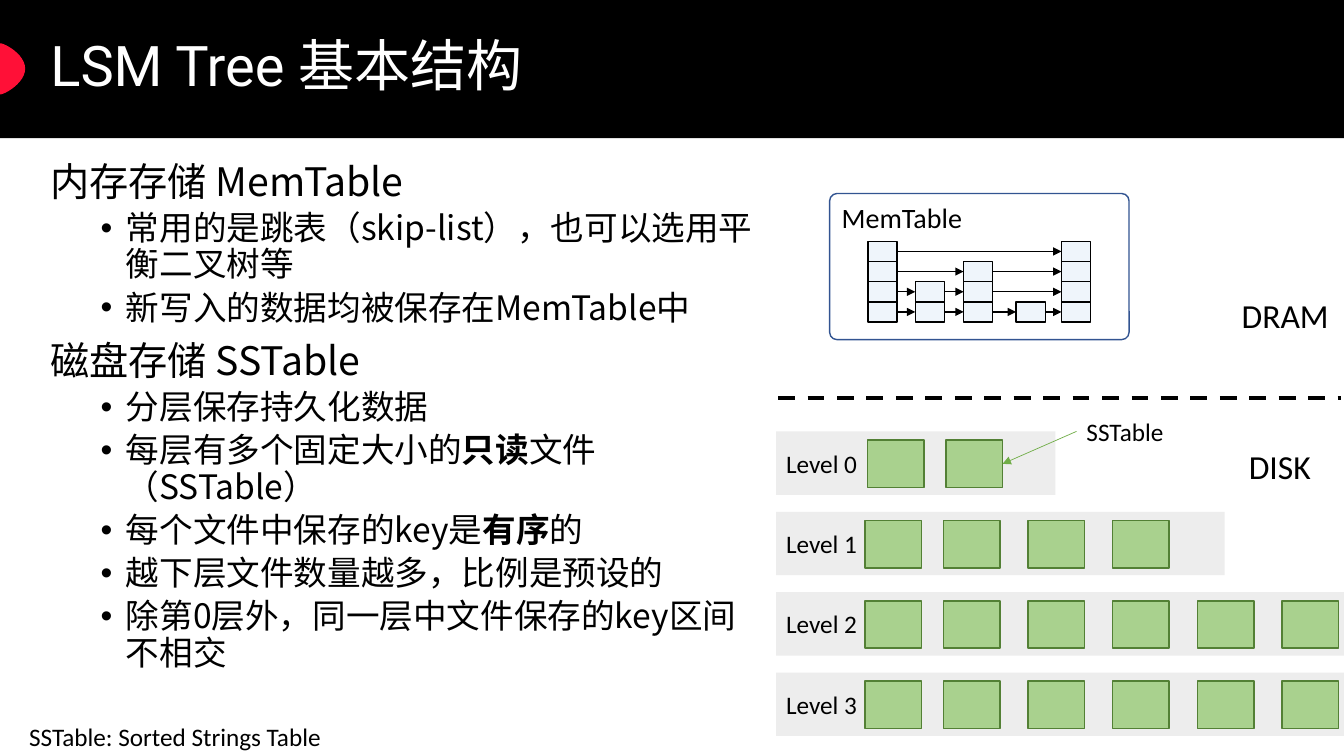
from dataclasses import dataclass
from typing import Optional

from lxml import etree
from pptx import Presentation
from pptx.dml.color import RGBColor
from pptx.enum.dml import MSO_LINE
from pptx.enum.shapes import MSO_CONNECTOR, MSO_SHAPE
from pptx.enum.text import MSO_ANCHOR, MSO_AUTO_SIZE, PP_ALIGN
from pptx.oxml.ns import qn
from pptx.util import Inches, Pt

RECT, ROUNDED = MSO_SHAPE.RECTANGLE, MSO_SHAPE.ROUNDED_RECTANGLE
STRAIGHT = MSO_CONNECTOR.STRAIGHT
DASH = MSO_LINE.DASH
TOP, MIDDLE = MSO_ANCHOR.TOP, MSO_ANCHOR.MIDDLE
LEFT = PP_ALIGN.LEFT
FIT, FIXED = MSO_AUTO_SIZE.SHAPE_TO_FIT_TEXT, MSO_AUTO_SIZE.NONE
LEFT_SIDE, RIGHT_SIDE = 1, 3
WIDTH, HEIGHT = Inches(13.333), Inches(7.5)


@dataclass(frozen=True)
class Theme:
    ink: str = "000000"
    paper: str = "FFFFFF"
    accent: str = "FF1037"
    level: str = "EDEDED"
    table: str = "A9D18E"
    table_edge: str = "538035"
    pointer: str = "70AD47"
    memory_edge: str = "325491"
    node: str = "DEEBF7"
    heading_font: str = "Roboto"
    body_font: str = "Noto Sans CJK SC"
    label_font: str = "Calibri"
    heading: int = 40
    topic: int = 28
    point: int = 24
    memory: int = 20
    label: int = 18


THEME = Theme()


@dataclass(frozen=True)
class Box:
    """Percentages of the slide's width and height."""
    left: float
    top: float
    width: float
    height: float

    def emu(self) -> tuple[int, int, int, int]:
        return across(self.left), down(self.top), across(self.width), down(self.height)


@dataclass(frozen=True)
class Level:
    width: float
    tables: int
    shift: float = 0


@dataclass(frozen=True)
class Tower:
    left: float
    height: int


@dataclass(frozen=True)
class Label:
    text: str
    box: Box
    size: int


TOPICS = {
    "内存存储 MemTable": [
        "常用的是跳表（skip-list），也可以选用平衡二叉树等",
        "新写入的数据均被保存在MemTable中",
    ],
    "磁盘存储 SSTable": [
        "分层保存持久化数据",
        "每层有多个固定大小的**只读**文件（SSTable）",
        "每个文件中保存的key是**有序**的",
        "越下层文件数量越多，比例是预设的",
        "除第0层外，同一层中文件保存的key区间不相交",
    ],
}
LEVELS = [Level(20.78, 2, 0.2), Level(33.38, 4), Level(51.08, 6), Level(68.4, 6)]
TOWERS = [Tower(64.58, 4), Tower(68.1, 2), Tower(71.7, 3), Tower(75.6, 1), Tower(78.98, 4)]
LABELS = [
    Label("DRAM", Box(91.65, 38.4, 8.03, 6.67), THEME.point),
    Label("DISK", Box(92.18, 58.27, 6.15, 6.67), THEME.point),
    Label("SSTable: Sorted Strings Table", Box(1.43, 94.8, 23.48, 5.33), THEME.label),
]
TABLE_NAME = Label("SSTable", Box(80.1, 54.4, 7.28, 5.33), THEME.label)
# Each arc: two control points and an end point
DROP_START = (-0.22, 9.1)
DROP_ARCS = [
    ((-0.22, 7.2), (-0.38, 5.73), (0, 5.73)),
    ((0.38, 5.73), (1.88, 7.2), (1.88, 9.1)),
    ((1.88, 10.93), (0.38, 12.5), (0, 12.5)),
    ((-0.38, 12.5), (-0.22, 10.93), DROP_START),
]


def across(share: float) -> int:
    return round(WIDTH * share / 100)


def down(share: float) -> int:
    return round(HEIGHT * share / 100)


def write(paragraph, text: str, *, size: int, face: str = THEME.label_font,
          color: str = THEME.ink, before: float = 0, spacing: float = 1,
          bullet: bool = False) -> None:
    """Write text; parts between double asterisks are bold."""
    paragraph.alignment = LEFT
    paragraph.line_spacing, paragraph.space_before = spacing, Pt(before)
    if bullet:
        paragraph.level = 1
        properties = paragraph._p.get_or_add_pPr()
        properties.set("marL", str(Inches(0.75)))
        properties.set("indent", str(Inches(-0.25)))
        etree.SubElement(properties, qn("a:buFont"), typeface="Arial")
        etree.SubElement(properties, qn("a:buChar"), char="•")
    for index, part in enumerate(text.split("**")):
        run = paragraph.add_run()
        run.text = part
        run.font.size, run.font.name, run.font.bold = Pt(size), face, index % 2 == 1
        run.font.color.rgb = RGBColor.from_string(color)
        etree.SubElement(run._r.get_or_add_rPr(), qn("a:ea"), typeface=THEME.body_font)


def paint(shape, fill: Optional[str], edge: Optional[str] = None,
          opacity: Optional[int] = None) -> None:
    shape.shadow.inherit = False
    if fill:
        shape.fill.solid()
        shape.fill.fore_color.rgb = RGBColor.from_string(fill)
    else:
        shape.fill.background()
    if opacity is not None:
        tint = shape.element.spPr.find(".//" + qn("a:srgbClr"))
        etree.SubElement(tint, qn("a:alpha"), val=str(opacity * 1000))
    if edge:
        shape.line.color.rgb = RGBColor.from_string(edge)
        shape.line.width = Pt(1)
    else:
        shape.line.fill.background()


def block(slide, box: Box, fill: Optional[str], edge: Optional[str] = None,
          opacity: Optional[int] = None, kind=RECT):
    shape = slide.shapes.add_shape(kind, *box.emu())
    paint(shape, fill, edge, opacity)
    return shape


def label(slide, item: Label):
    shape = slide.shapes.add_textbox(*item.box.emu())
    shape.text_frame.word_wrap = False
    shape.text_frame.auto_size = FIT
    write(shape.text_frame.paragraphs[0], item.text, size=item.size)
    return shape


def rule(slide, color: str, weight: float, ends=(0, 0, 0, 0), dash=None):
    line = slide.shapes.add_connector(STRAIGHT, *ends)
    line.line.color.rgb = RGBColor.from_string(color)
    line.line.width = Pt(weight)
    if dash is not None:
        line.line.dash_style = dash
    etree.SubElement(line.element.spPr, qn("a:effectLst"))
    return line


def arrow(slide, source, source_side: int, target, target_side: int,
          color: str = THEME.ink, weight: float = 1) -> None:
    line = rule(slide, color, weight)
    line.begin_connect(source, source_side)
    line.end_connect(target, target_side)
    etree.SubElement(line.line._get_or_add_ln(), qn("a:tailEnd"), type="triangle")


def draw_header(slide) -> None:
    title = slide.shapes.title
    band = block(slide, Box(0, 0, 100, 18.27), THEME.ink)
    outline, start = [], DROP_START
    for first, second, end in DROP_ARCS:
        for t in (step / 12 for step in range(1, 13)):
            x, y = ((1 - t) ** 3 * a + 3 * (1 - t) ** 2 * t * b + 3 * (1 - t) * t * t * c
                    + t ** 3 * d for a, b, c, d in zip(start, first, second, end))
            outline.append((across(x), down(y)))
        start = end
    builder = slide.shapes.build_freeform(across(DROP_START[0]), down(DROP_START[1]))
    builder.add_line_segments(outline, close=True)
    drop = builder.convert_to_shape()
    paint(drop, THEME.accent)
    for backdrop in (band, drop):  # keep the title in front
        title.element.addprevious(backdrop.element)
    title.left, title.top, title.width, title.height = Box(3, 1.2, 94.5, 15.73).emu()
    title.text_frame.vertical_anchor = MIDDLE
    title.text_frame.auto_size = FIXED
    write(title.text_frame.paragraphs[0], "LSM Tree 基本结构", size=THEME.heading,
          face=THEME.heading_font, color=THEME.paper, spacing=0.9)


def draw_topics(slide) -> None:
    frame = slide.shapes.add_textbox(*Box(3, 20.8, 54.23, 79.2).emu()).text_frame
    frame.word_wrap = True
    lines = [(text, text in TOPICS) for topic in TOPICS for text in (topic, *TOPICS[topic])]
    for index, (text, is_topic) in enumerate(lines):
        paragraph = frame.add_paragraph() if index else frame.paragraphs[0]
        write(paragraph, text, size=THEME.topic if is_topic else THEME.point,
              face=THEME.body_font, before=10 if is_topic else 5, spacing=0.9,
              bullet=not is_topic)


def draw_memory(slide) -> None:
    memory = block(slide, Box(61.73, 25.6, 22.28, 19.33), None, THEME.memory_edge, kind=ROUNDED)
    memory.adjustments[0] = 0.05
    memory.text_frame.vertical_anchor = TOP
    write(memory.text_frame.paragraphs[0], "MemTable", size=THEME.memory)
    # Skip list: each lane links the towers that reach it
    floor, node_width, node_height = 42.6, 2.17, 2.67
    for lane in range(max(tower.height for tower in TOWERS)):
        nodes = [block(slide, Box(tower.left, floor - (lane + 1) * node_height,
                                  node_width, node_height), THEME.node, THEME.ink, 46)
                 for tower in TOWERS if tower.height > lane]
        for source, target in zip(nodes, nodes[1:]):
            arrow(slide, source, RIGHT_SIDE, target, LEFT_SIDE)


def draw_disk(slide) -> None:
    rows = []
    for row, level in enumerate(LEVELS):
        top = 57.07 + 10.63 * row
        bar = block(slide, Box(57.75, top, level.width, 8.4), THEME.level)
        bar.text_frame.vertical_anchor = MIDDLE
        write(bar.text_frame.paragraphs[0], f"Level {row}", size=THEME.label)
        columns = [64.35] + [70.2 + 6.3 * step for step in range(level.tables - 1)]
        rows.append([block(slide, Box(left + level.shift, top + 1.15, 4.2, 6.27),
                           THEME.table, THEME.table_edge) for left in columns])
    name = label(slide, TABLE_NAME)
    arrow(slide, name, LEFT_SIDE, rows[0][-1], RIGHT_SIDE, THEME.pointer, 0.5)


def main() -> None:
    deck = Presentation()
    deck.slide_width, deck.slide_height = WIDTH, HEIGHT
    slide = deck.slides.add_slide(deck.slide_layouts.get_by_name("Title Only"))
    draw_header(slide)
    draw_topics(slide)
    draw_memory(slide)
    draw_disk(slide)
    # Border between memory and disk
    rule(slide, THEME.ink, 3, (across(57.9), down(52.67), across(99.75), down(52.67)), DASH)
    for item in LABELS:
        label(slide, item)
    deck.save("out.pptx")


if __name__ == "__main__":
    main()
